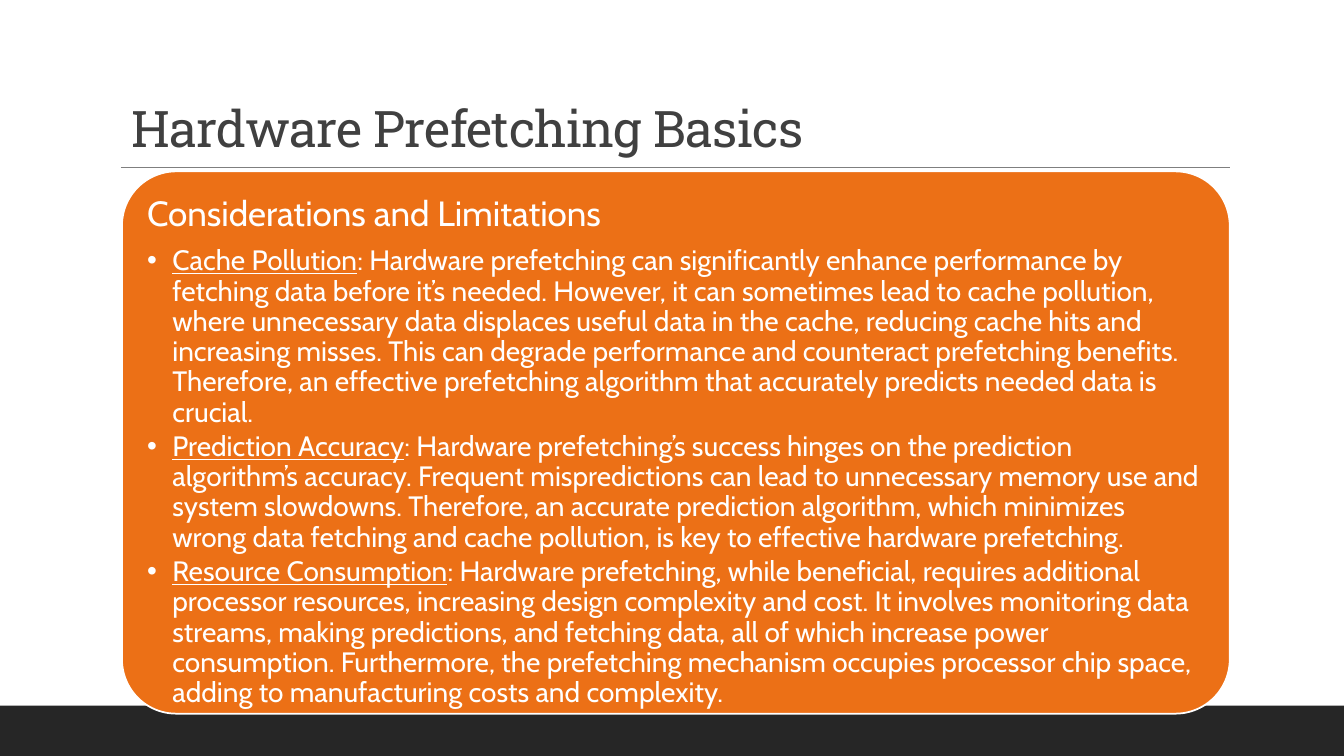
from lxml import etree
from pptx import Presentation
from pptx.dml.color import RGBColor
from pptx.enum import shapes, text
from pptx.oxml import ns
from pptx.util import Pt

WIDTH, HEIGHT = 960, 540
ORANGE, WHITE, DARK, GREY, RULE = "EC7016", "FFFFFF", "262626", "404040", "7F7F7F"
LIMITATIONS = [
    ("Cache Pollution",
     ": Hardware prefetching can significantly enhance performance by fetching data before "
     "it’s needed. However, it can sometimes lead to cache pollution, where unnecessary data "
     "displaces useful data in the cache, reducing cache hits and increasing misses. This can "
     "degrade performance and counteract prefetching benefits. Therefore, an effective "
     "prefetching algorithm that accurately predicts needed data is crucial."),
    ("Prediction Accuracy",
     ": Hardware prefetching’s success hinges on the prediction algorithm’s accuracy. Frequent "
     "mispredictions can lead to unnecessary memory use and system slowdowns. Therefore, an "
     "accurate prediction algorithm, which minimizes wrong data fetching and cache pollution, "
     "is key to effective hardware prefetching."),
    ("Resource Consumption",
     ": Hardware prefetching, while beneficial, requires additional processor resources, "
     "increasing design complexity and cost. It involves monitoring data streams, making "
     "predictions, and fetching data, all of which increase power consumption. Furthermore, "
     "the prefetching mechanism occupies processor chip space, adding to manufacturing costs "
     "and complexity."),
]


def colour(hex_string):
    return RGBColor.from_string(hex_string)


class SlideBuilder:
    """Holds the fonts and the slide being filled."""

    title_font, body_font = "Roboto Slab", "Cabin"

    def __init__(self, slide):
        self.slide = slide

    def block(self, kind, left, top, width, height, fill, outline=None):
        block = self.slide.shapes.add_shape(kind, Pt(left), Pt(top), Pt(width), Pt(height))
        block.shadow.inherit = False
        block.fill.solid()
        block.fill.fore_color.rgb = colour(fill)
        if outline:
            block.line.color.rgb = colour(outline)
            block.line.width = Pt(1.25)
        else:
            block.line.fill.background()
        return block

    def rule(self, left, right, y):
        rule = self.slide.shapes.add_connector(
            shapes.MSO_CONNECTOR.STRAIGHT, Pt(left), Pt(y), Pt(right), Pt(y))
        rule.line.color.rgb = colour(RULE)
        rule.line.width = Pt(0.75)
        etree.SubElement(rule.element.spPr, ns.qn("a:effectLst"))

    def frame(self, placeholder, left, top, width, height, anchor, inset):
        """Place a placeholder in front of everything so far and set up its frame."""
        placeholder.left, placeholder.top = Pt(left), Pt(top)
        placeholder.width, placeholder.height = Pt(width), Pt(height)
        self.slide.shapes[-1].element.addnext(placeholder.element)
        frame = placeholder.text_frame
        frame.word_wrap = True
        frame.auto_size = text.MSO_AUTO_SIZE.NONE
        frame.vertical_anchor = anchor
        frame.margin_left = frame.margin_right = Pt(7.2)
        frame.margin_top = frame.margin_bottom = Pt(inset)
        return frame

    def paragraph(self, paragraph, align, after=0):
        paragraph.alignment = align
        paragraph.line_spacing = 0.9
        paragraph.space_before = Pt(0)
        paragraph.space_after = Pt(after)

    def run(self, paragraph, words, size, font, ink, underline=False):
        run = paragraph.add_run()
        run.text = words
        run.font.size, run.font.name = Pt(size), font
        run.font.color.rgb = colour(ink)
        run.font.underline = underline
        return run

    def bullet(self, paragraph, char=None, indent=0):
        properties = paragraph._p.get_or_add_pPr()
        properties.set("marL", str(Pt(indent)))
        properties.set("indent", str(-Pt(indent)))
        if char:
            etree.SubElement(properties, ns.qn("a:buChar")).set("char", char)
        else:
            etree.SubElement(properties, ns.qn("a:buNone"))

    def title(self, words):
        frame = self.frame(self.slide.shapes.title, 86.4, 68.4, 792, 51.12,
                           text.MSO_ANCHOR.MIDDLE, 3.6)
        heading = frame.paragraphs[0]
        self.paragraph(heading, text.PP_ALIGN.JUSTIFY)
        run = self.run(heading, words, 36, self.title_font, GREY)
        run._r.get_or_add_rPr().set("spc", "-50")

    def body(self, heading, points):
        frame = self.frame(self.slide.placeholders[1], 97.92, 133.2, 768.24, 365.04,
                           text.MSO_ANCHOR.TOP, 7.2)
        lead = frame.paragraphs[0]
        self.paragraph(lead, text.PP_ALIGN.LEFT, 8.75)
        self.bullet(lead)
        self.run(lead, heading, 25, self.body_font, WHITE)
        for term, explanation in points:
            point = frame.add_paragraph()
            point.level = 1
            self.paragraph(point, text.PP_ALIGN.LEFT, 3)
            self.bullet(point, "•", 18)
            self.run(point, term, 20, self.body_font, WHITE, underline=True)
            self.run(point, explanation, 20, self.body_font, WHITE)


def main():
    deck = Presentation()
    deck.slide_width, deck.slide_height = Pt(WIDTH), Pt(HEIGHT)
    builder = SlideBuilder(deck.slides.add_slide(deck.slide_layouts[1]))
    builder.block(shapes.MSO_SHAPE.RECTANGLE, 0, 504, WIDTH, 36, DARK)
    builder.title("Hardware Prefetching Basics")
    builder.rule(86.4, 878.4, 119.52)
    card = builder.block(shapes.MSO_SHAPE.ROUNDED_RECTANGLE,
                         87.12, 122.4, 791.28, 387.36, ORANGE, WHITE)
    card.adjustments[0] = 0.1
    builder.body("Considerations and Limitations", LIMITATIONS)
    deck.save("out.pptx")


if __name__ == "__main__":
    main()
